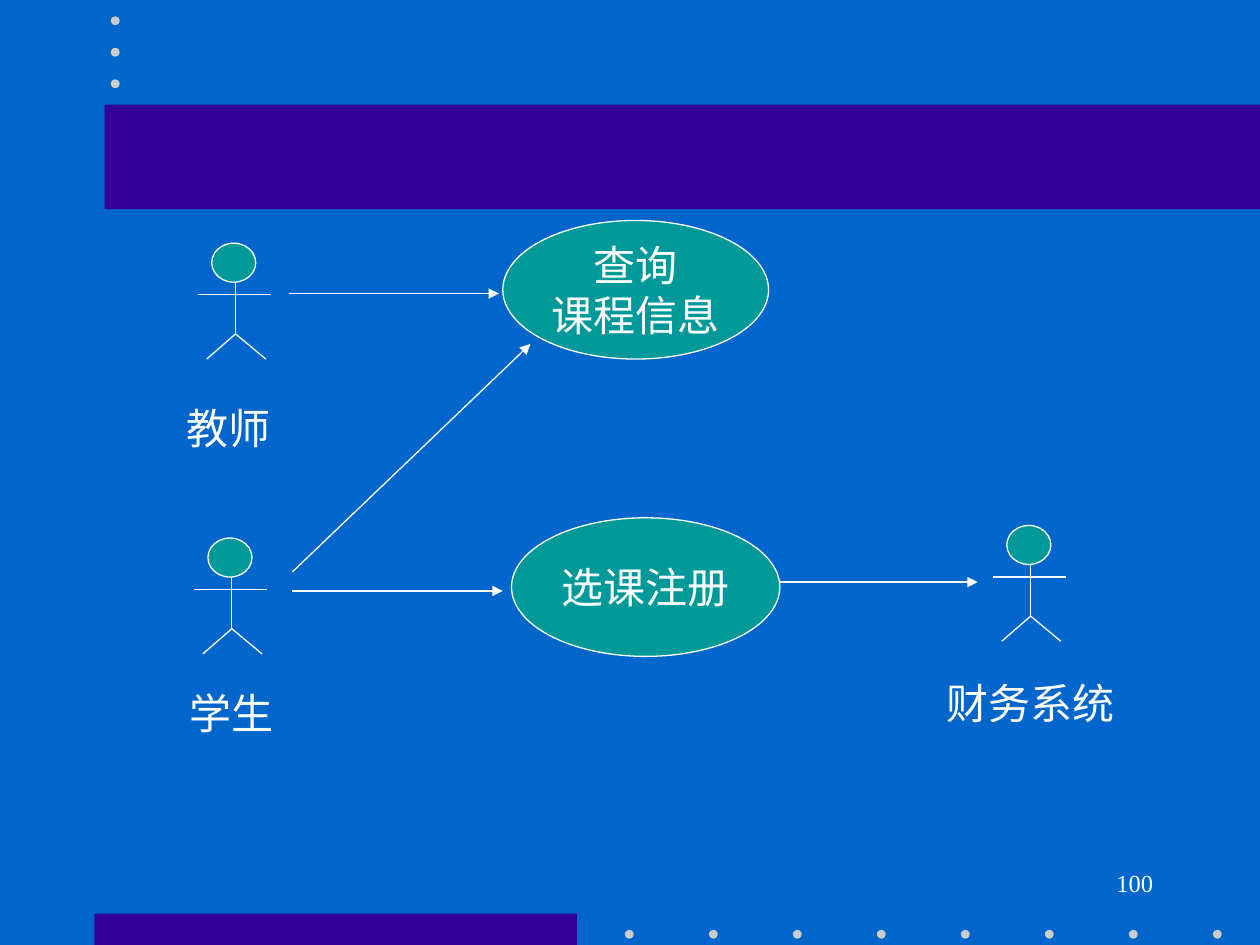
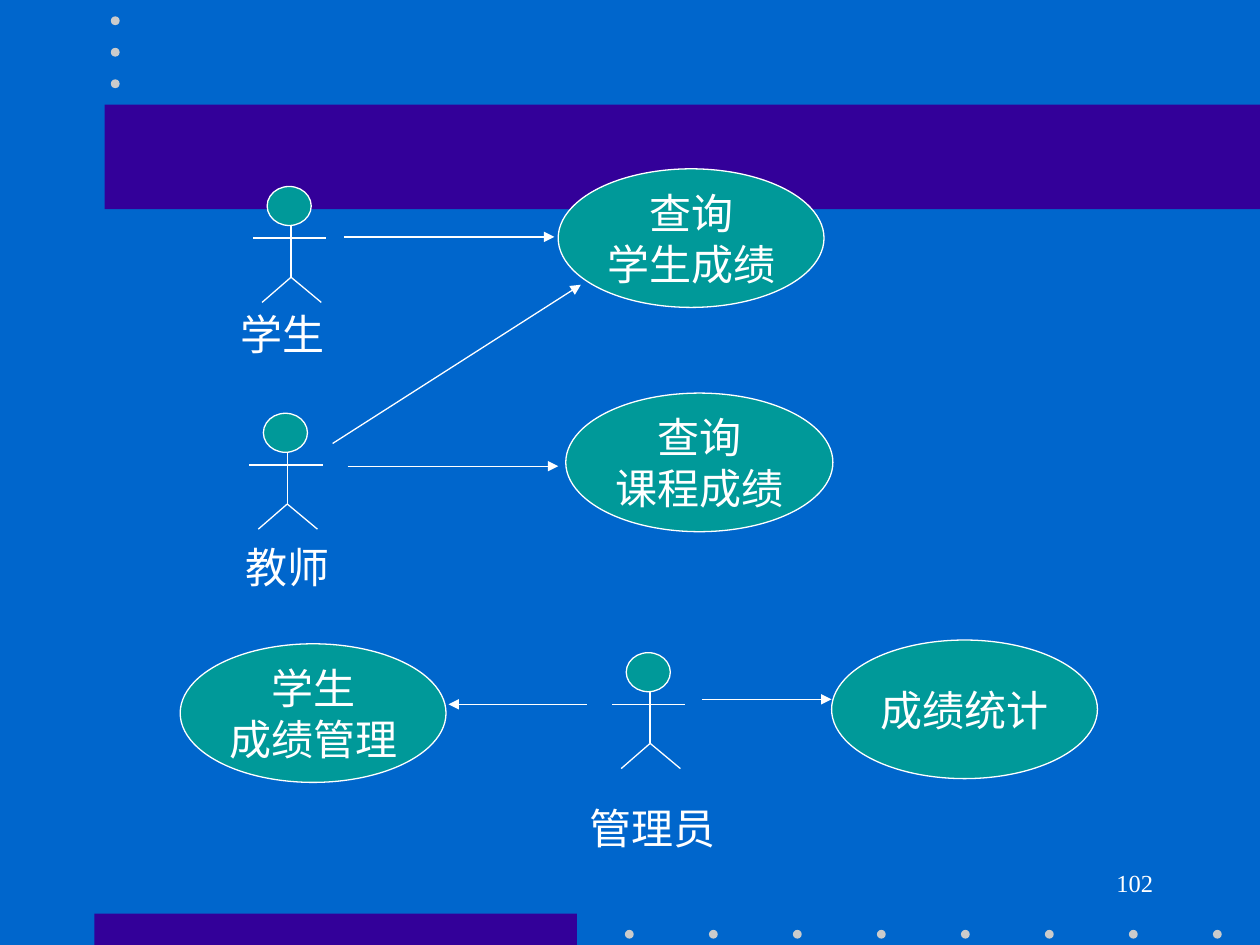
from lxml import etree
from pptx import Presentation
from pptx.dml.color import RGBColor
from pptx.enum.shapes import MSO_CONNECTOR, MSO_SHAPE
from pptx.enum.text import MSO_ANCHOR, PP_ALIGN
from pptx.oxml.ns import qn
from pptx.util import Inches, Pt

STRAIGHT = MSO_CONNECTOR.STRAIGHT
OVAL, RECTANGLE = MSO_SHAPE.OVAL, MSO_SHAPE.RECTANGLE
MIDDLE, TOP = MSO_ANCHOR.MIDDLE, MSO_ANCHOR.TOP
CENTER, RIGHT = PP_ALIGN.CENTER, PP_ALIGN.RIGHT


def rgb(hex_code):
    return RGBColor.from_string(hex_code)


class UseCaseDeck:
    """Holds the shared style and the slide being drawn."""

    BACKGROUND, BAND, DOT = "0066CC", "330099", "CBCBCB"
    FILL, INK = "009999", "FFFFFF"
    FONT = "Times New Roman"
    TEXT_SIZE, NUMBER_SIZE, LINE_WIDTH = 24, 14, 0.75
    DOT_SIZE = 0.07
    CASE_WIDTH, CASE_HEIGHT = 2.11, 1.1
    LABEL_WIDTH, LABEL_HEIGHT = 1.58, 0.25

    def __init__(self):
        self.prs = Presentation()
        self.prs.slide_width, self.prs.slide_height = Inches(10), Inches(7.5)
        fill = self.prs.slide_master.background.fill
        fill.solid()
        fill.fore_color.rgb = rgb(self.BACKGROUND)
        self.slide = None

    def new_slide(self, number):
        self.slide = self.prs.slides.add_slide(self.prs.slide_layouts[6])
        self.shape(RECTANGLE, 0.75, 7.25, 3.83, 0.25, self.BAND)
        for i in range(8):
            self.dot(4.96 + i * 2 / 3, 7.38)
        self.shape(RECTANGLE, 0.83, 0.83, 9.17, 0.83, self.BAND)
        for i in range(3):
            self.dot(0.88, 0.13 + i * 0.25)
        self.page_number(number)

    def shape(self, kind, left, top, width, height, color, outlined=False, parent=None):
        shapes = (parent or self.slide).shapes
        shape = shapes.add_shape(
            kind, Inches(left), Inches(top), Inches(width), Inches(height))
        shape.shadow.inherit = False
        shape.fill.solid()
        shape.fill.fore_color.rgb = rgb(color)
        if outlined:
            shape.line.color.rgb = rgb(self.INK)
            shape.line.width = Pt(self.LINE_WIDTH)
        else:
            shape.line.fill.background()
        return shape

    def dot(self, left, top):
        self.shape(OVAL, left, top, self.DOT_SIZE, self.DOT_SIZE, self.DOT)

    def line(self, start, end, parent=None):
        shapes = (parent or self.slide).shapes
        line = shapes.add_connector(STRAIGHT, *map(Inches, (*start, *end)))
        line.line.color.rgb = rgb(self.INK)
        line.line.width = Pt(self.LINE_WIDTH)
        etree.SubElement(line._element.spPr, qn("a:effectLst"))
        return line

    def arrow(self, start, end):
        outline = self.line(start, end).line._get_or_add_ln()
        etree.SubElement(outline, qn("a:tailEnd"), type="triangle")

    def set_text(self, shape, text, size=TEXT_SIZE, align=CENTER, anchor=MIDDLE, wrap=False):
        frame = shape.text_frame
        frame.text = text
        frame.word_wrap = wrap
        frame.vertical_anchor = anchor
        for paragraph in frame.paragraphs:
            paragraph.alignment = align
            for run in paragraph.runs:
                run.font.name = self.FONT
                run.font.size = Pt(size)
                run.font.color.rgb = rgb(self.INK)

    def text_box(self, left, top, width, height, text, **style):
        box = self.slide.shapes.add_textbox(
            Inches(left), Inches(top), Inches(width), Inches(height))
        self.set_text(box, text, **style)
        return box

    def page_number(self, number):
        box = self.text_box(7.17, 6.83, 2.08, 0.5, number, size=self.NUMBER_SIZE,
                            align=RIGHT, anchor=TOP, wrap=True)
        box.text_frame.paragraphs[0].line_spacing = 1.05

    def actor(self, x, top, name, label_left, label_top):
        """Stick figure whose spine stands at x, with its name below."""
        figure = self.slide.shapes.add_group_shape()
        neck, arms, hip, feet = top + 0.31, top + 0.41, top + 0.72, top + 0.92
        self.shape(OVAL, x - 0.19, top, 0.35, 0.31, self.FILL, True, figure)
        self.line((x, neck), (x, hip), figure)
        for foot in (x - 0.23, x + 0.24):
            self.line((x, hip), (foot, feet), figure)
        self.line((x - 0.3, arms), (x + 0.28, arms), figure)
        self.text_box(label_left, label_top, self.LABEL_WIDTH, self.LABEL_HEIGHT, name)

    def use_case(self, left, top, text, width=CASE_WIDTH):
        oval = self.shape(OVAL, left, top, width, self.CASE_HEIGHT, self.FILL, True)
        self.set_text(oval, text)


def course_selection(deck):
    deck.new_slide("100")
    deck.actor(1.87, 1.93, "教师", 1.02, 3.27)
    deck.actor(1.84, 4.27, "学生", 1.05, 5.53)
    deck.use_case(3.99, 1.75, "查询\n课程信息")
    deck.use_case(4.06, 4.11, "选课注册", width=2.13)
    deck.actor(8.18, 4.17, "财务系统", 7.39, 5.45)
    deck.arrow((2.29, 2.33), (3.96, 2.33))
    deck.arrow((2.32, 4.69), (3.99, 4.69))
    deck.arrow((2.32, 4.54), (4.21, 2.73))
    deck.arrow((6.18, 4.62), (7.76, 4.62))


def grade_management(deck):
    deck.new_slide("102")
    deck.actor(2.31, 1.48, "学生", 1.45, 2.52)
    deck.actor(2.28, 3.28, "教师", 1.49, 4.37)
    deck.use_case(4.43, 1.34, "查询\n学生成绩")
    deck.use_case(4.49, 3.12, "查询\n课程成绩", width=2.12)
    deck.arrow((2.73, 1.88), (4.4, 1.88))
    deck.arrow((2.76, 3.7), (4.43, 3.7))
    deck.arrow((2.64, 3.52), (4.61, 2.26))
    deck.actor(5.16, 5.18, "管理员", 4.39, 6.44)
    deck.use_case(6.6, 5.08, "成绩统计")
    deck.use_case(1.43, 5.11, "学生\n成绩管理")
    deck.arrow((5.57, 5.55), (6.6, 5.55))
    deck.arrow((4.66, 5.59), (3.56, 5.59))


def main():
    deck = UseCaseDeck()
    course_selection(deck)
    grade_management(deck)
    deck.prs.save("out.pptx")


if __name__ == "__main__":
    main()
